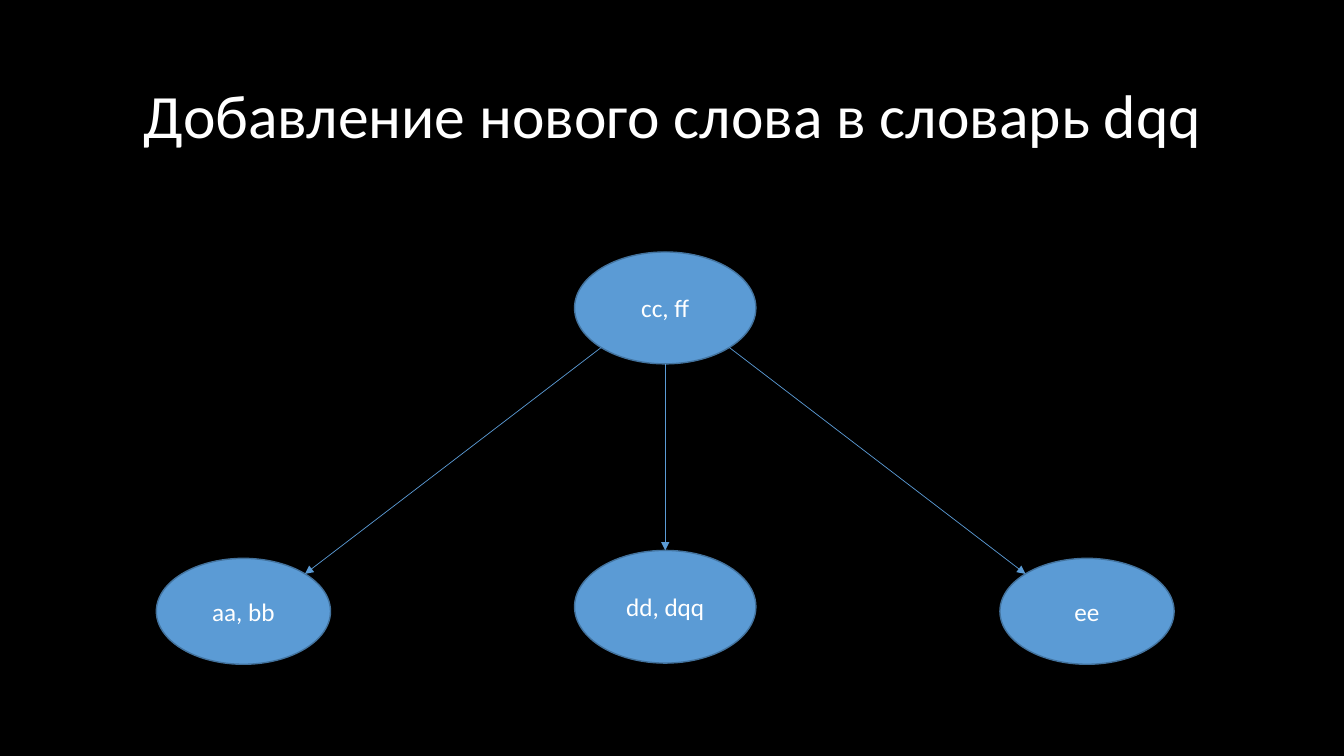
import math
from dataclasses import dataclass

import lxml.etree
import pptx
import pptx.dml.color
import pptx.enum.shapes
import pptx.enum.text
import pptx.oxml.ns
import pptx.shapes.autoshape
import pptx.slide
import pptx.text.text
import pptx.util
from pptx.util import Cm


@dataclass(frozen=True)
class Theme:
    background: str = "000000"
    text: str = "FFFFFF"
    node_fill: str = "5B9BD5"
    node_outline: str = "43739E"
    arrow: str = "5B9BD5"
    font: str = "Calibri"
    title_size: float = 44
    node_size: float = 18
    outline_width: float = 1
    arrow_width: float = 0.5


@dataclass(frozen=True)
class Node:
    """A tree node; lengths in centimetres."""
    words: str
    left: float
    top: float
    width: float
    height: float

    def edge_point(self, degrees: float) -> tuple[float, float]:
        """Point on the ellipse, clockwise from the right-hand side."""
        angle = math.radians(degrees)
        return (self.left + self.width / 2 * (1 + math.cos(angle)),
                self.top + self.height / 2 * (1 + math.sin(angle)))


@dataclass(frozen=True)
class Branch:
    child: Node
    leaves_at: float
    arrives_at: float


THEME = Theme()
TITLE = "Добавление нового слова в словарь dqq"

# Tree: one root and three children
ROOT = Node("cc, ff", 14.48, 6.35, 4.57, 2.82)
BRANCHES = (
    Branch(Node("aa, bb", 3.94, 14.07, 4.39, 2.67), 135, -45),
    Branch(Node("dd, dqq", 14.48, 13.87, 4.57, 2.84), 90, -90),
    Branch(Node("ee", 25.2, 14.07, 4.39, 2.67), 45, -135),
)


def rgb(value: str) -> pptx.dml.color.RGBColor:
    return pptx.dml.color.RGBColor.from_string(value)


def write_centred(frame: pptx.text.text.TextFrame, text: str, size: float) -> None:
    frame.text = text
    frame.word_wrap = True
    frame.vertical_anchor = pptx.enum.text.MSO_ANCHOR.MIDDLE
    paragraph = frame.paragraphs[0]
    paragraph.alignment = pptx.enum.text.PP_ALIGN.CENTER
    paragraph.font.name = THEME.font
    paragraph.font.size = pptx.util.Pt(size)
    paragraph.font.color.rgb = rgb(THEME.text)


def draw_title(slide: pptx.slide.Slide) -> None:
    title = slide.shapes.title
    title.left, title.top = Cm(2.36), Cm(1.14)
    title.width, title.height = Cm(29.21), Cm(3.68)
    write_centred(title.text_frame, TITLE, THEME.title_size)
    title.text_frame.paragraphs[0].line_spacing = 0.9


def draw_node(slide: pptx.slide.Slide, node: Node) -> None:
    ellipse = slide.shapes.add_shape(
        pptx.enum.shapes.MSO_SHAPE.OVAL,
        Cm(node.left), Cm(node.top), Cm(node.width), Cm(node.height))
    ellipse.shadow.inherit = False
    ellipse.fill.solid()
    ellipse.fill.fore_color.rgb = rgb(THEME.node_fill)
    ellipse.line.color.rgb = rgb(THEME.node_outline)
    ellipse.line.width = pptx.util.Pt(THEME.outline_width)
    write_centred(ellipse.text_frame, node.words, THEME.node_size)


def draw_arrow(slide: pptx.slide.Slide, branch: Branch) -> None:
    start = ROOT.edge_point(branch.leaves_at)
    end = branch.child.edge_point(branch.arrives_at)
    arrow = slide.shapes.add_connector(
        pptx.enum.shapes.MSO_CONNECTOR.STRAIGHT,
        *(Cm(length) for length in start + end))
    arrow.line.color.rgb = rgb(THEME.arrow)
    arrow.line.width = pptx.util.Pt(THEME.arrow_width)
    # Arrowhead at the child, and no shadow
    qn = pptx.oxml.ns.qn
    lxml.etree.SubElement(arrow.line._get_or_add_ln(), qn("a:tailEnd"), type="triangle")
    lxml.etree.SubElement(arrow._element.spPr, qn("a:effectLst"))


def main() -> None:
    presentation = pptx.Presentation()
    presentation.slide_width, presentation.slide_height = Cm(33.87), Cm(19.05)
    title_only = presentation.slide_layouts[5]
    slide = presentation.slides.add_slide(title_only)

    # Background and title
    slide.background.fill.solid()
    slide.background.fill.fore_color.rgb = rgb(THEME.background)
    draw_title(slide)

    # Nodes, then the arrows between them
    for node in (ROOT, *(branch.child for branch in BRANCHES)):
        draw_node(slide, node)
    for branch in BRANCHES:
        draw_arrow(slide, branch)

    presentation.save("out.pptx")


if __name__ == "__main__":
    main()
